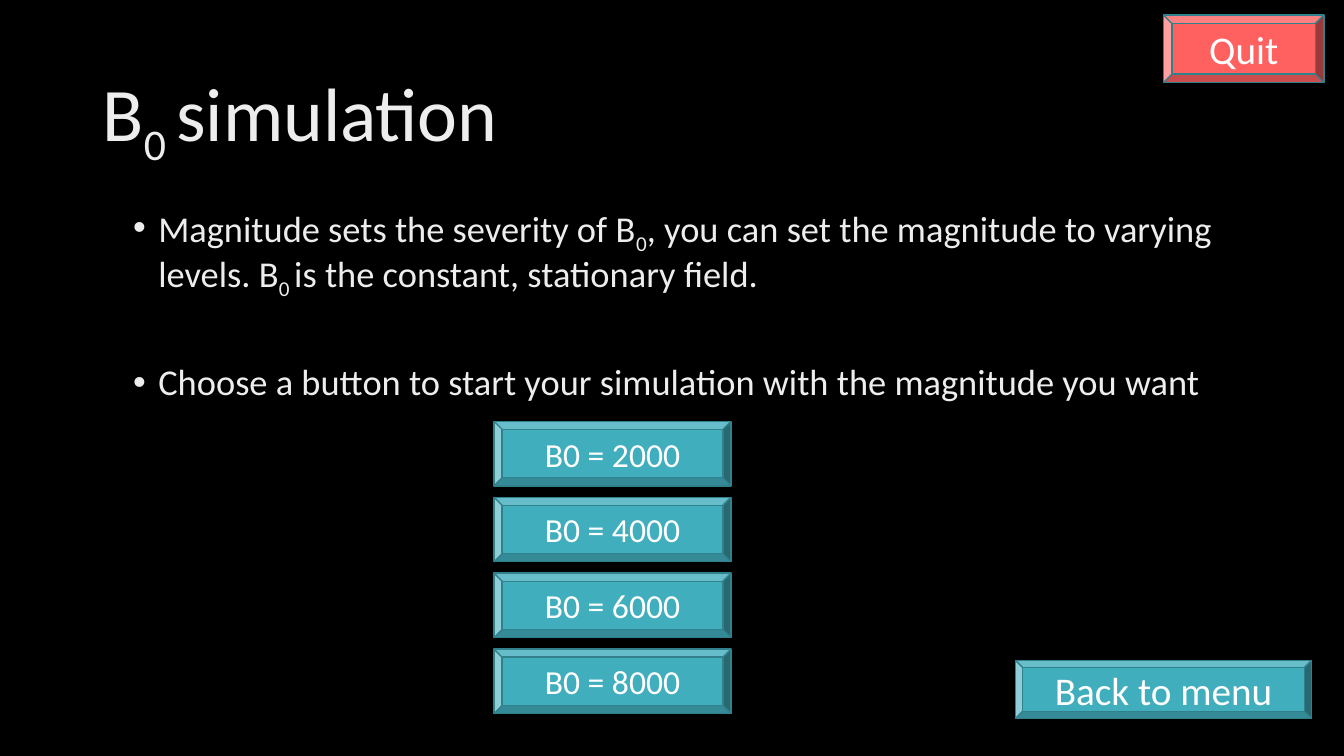
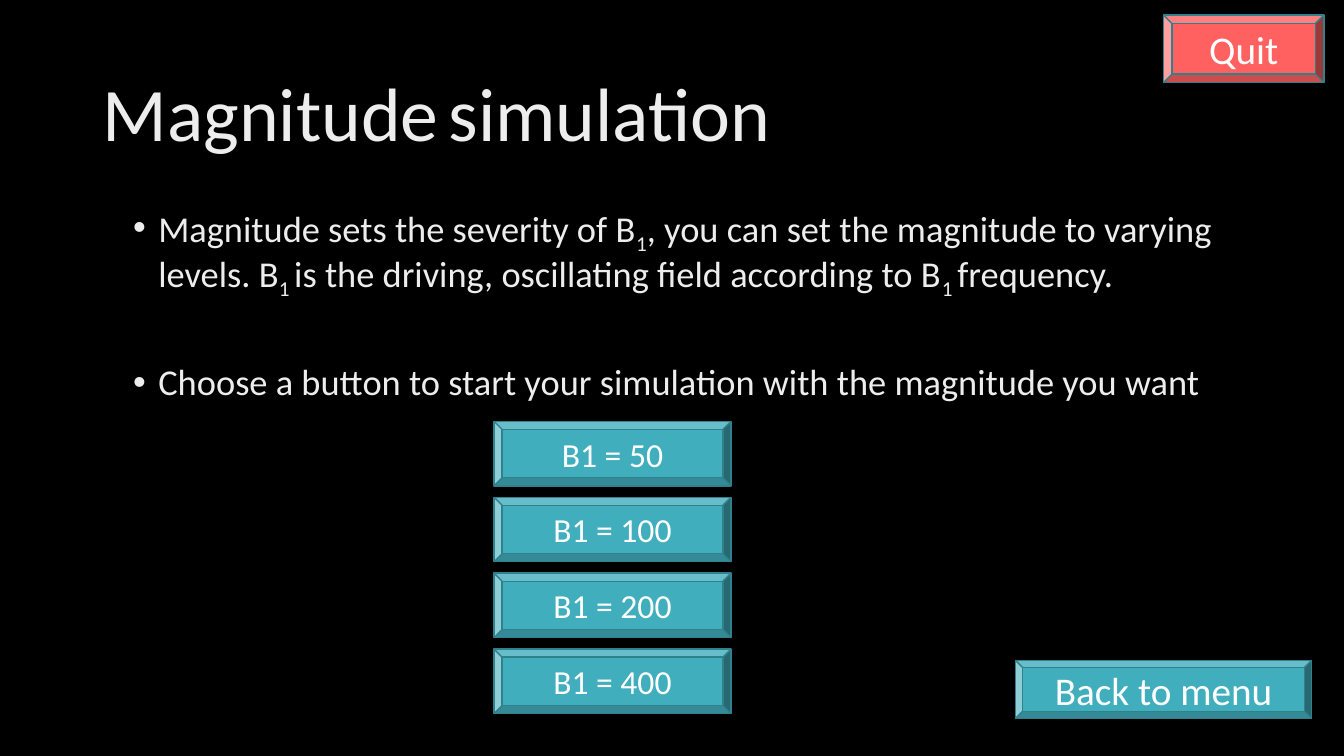
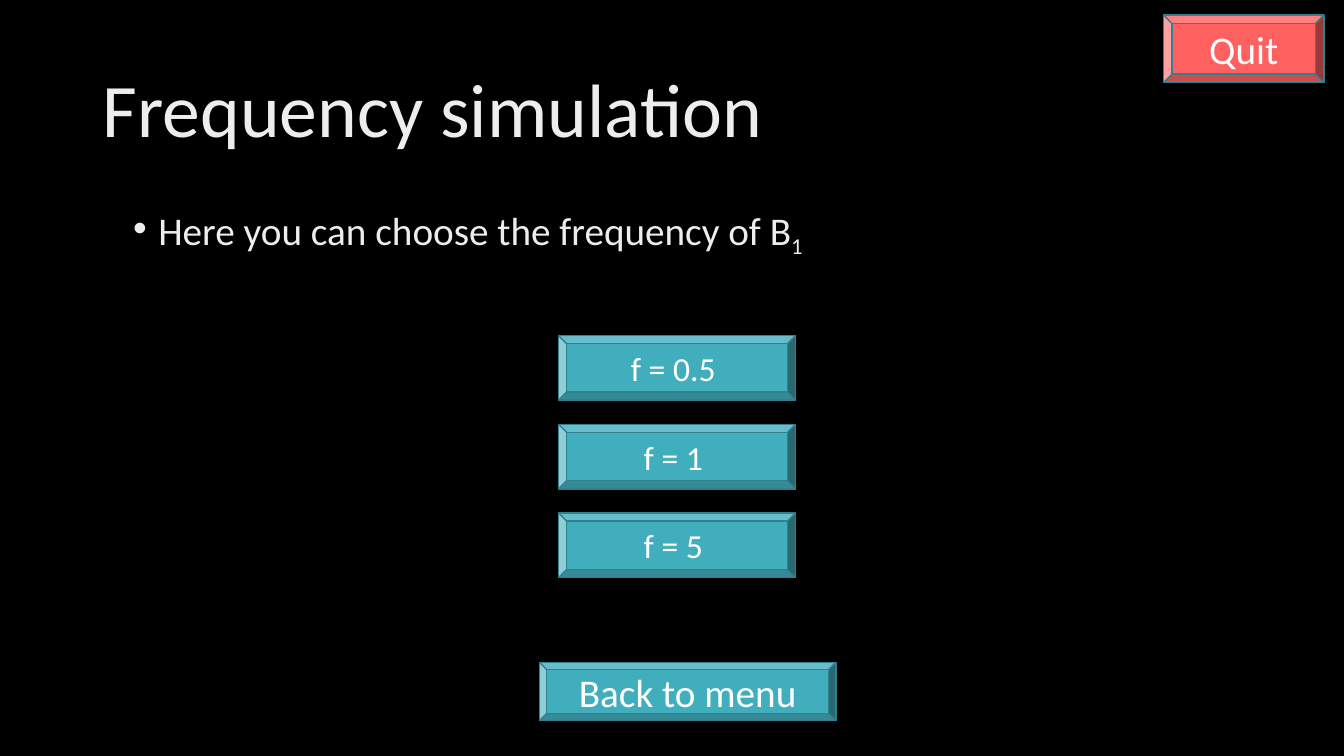
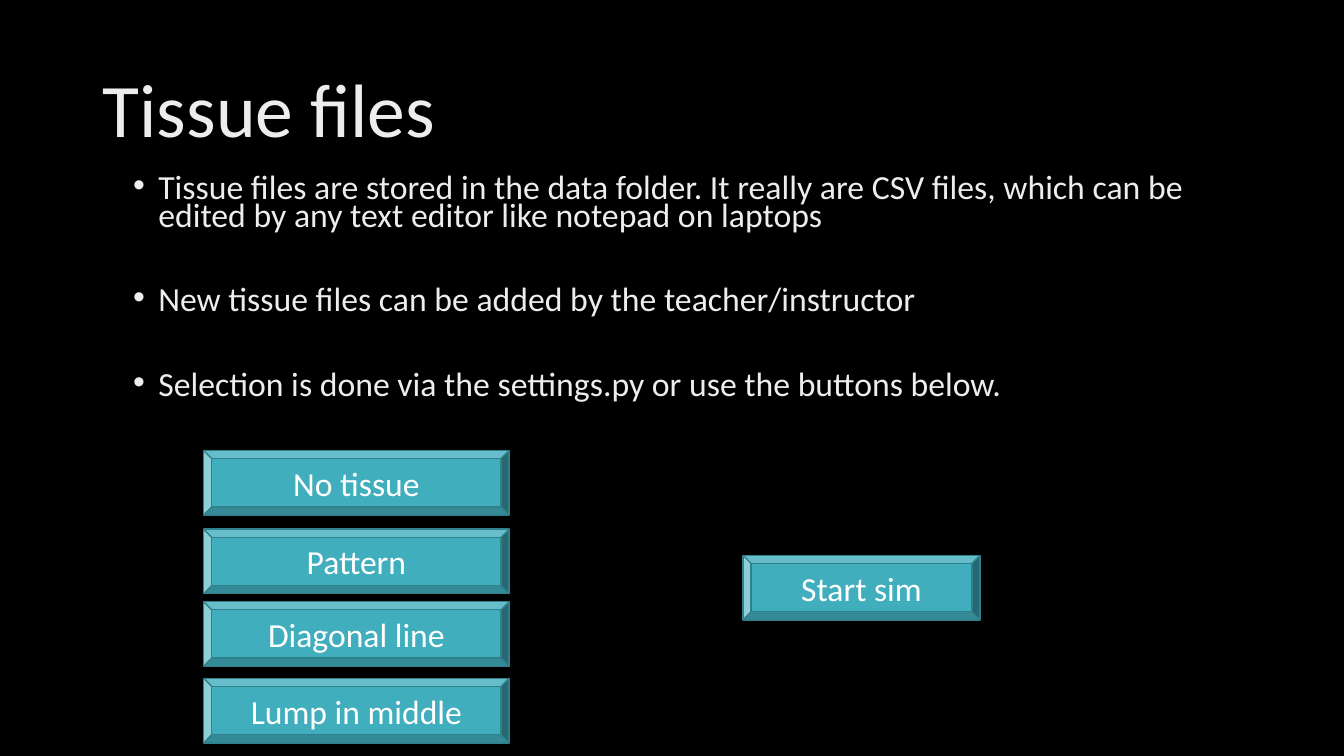
"""Build the four simulation menu slides."""
from lxml.etree import SubElement
from pptx import Presentation
from pptx.dml.color import RGBColor
from pptx.enum.shapes import MSO_SHAPE
from pptx.enum.text import MSO_ANCHOR, MSO_AUTO_SIZE, PP_ALIGN
from pptx.oxml.ns import qn
from pptx.util import Inches, Pt

HUES = {
    "back": "000000",
    "text": "EDEDED",
    "label": "FFFFFF",
    "teal": "41AEBD",
    "edge": "30818C",
    "red": "FF6161",
}


def hue(name):
    return RGBColor.from_string(HUES[name])


class Deck:
    def __init__(self):
        self.prs = Presentation()
        self.prs.slide_width = Inches(13.33)
        self.prs.slide_height = Inches(7.5)
        fill = self.prs.slide_master.background.fill
        fill.solid()
        fill.fore_color.rgb = hue("back")
        self.slide = None

    def place(self, shape, left, top, width, height):
        shape.left, shape.top = Inches(left), Inches(top)
        shape.width, shape.height = Inches(width), Inches(height)

    def style(self, para, size, color):
        para.font.name = "Calibri"
        para.font.size = Pt(size)
        para.font.color.rgb = hue(color)

    def add_text(self, para, text):
        for at, part in enumerate(text.split("_")):
            if part:
                run = para.add_run()
                run.text = part
                if at % 2:
                    run._r.get_or_add_rPr().set("baseline", "-25000")

    def title(self, text):
        self.slide = self.prs.slides.add_slide(self.prs.slide_layouts[1])
        shape = self.slide.shapes.title
        self.place(shape, 0.92, 0.4, 11.5, 1.45)
        frame = shape.text_frame
        frame.auto_size = MSO_AUTO_SIZE.NONE
        frame.vertical_anchor = MSO_ANCHOR.MIDDLE
        para = frame.paragraphs[0]
        para.alignment = PP_ALIGN.LEFT
        para.line_spacing = 0.9
        self.add_text(para, text)
        self.style(para, 54, "text")

    def bullets(self, items, size=26, top=2, line=0.9, gap=48.5):
        shape = self.slide.placeholders[1]
        self.place(shape, 1.22, top, 11.19, 2.45)
        frame = shape.text_frame
        frame.auto_size = MSO_AUTO_SIZE.NONE
        for at, text in enumerate(items):
            para = frame.add_paragraph() if at else frame.paragraphs[0]
            para.line_spacing = line
            para.space_before = Pt(gap if at else 0)
            props = para._p.get_or_add_pPr()
            props.set("marL", str(Inches(0.25)))
            props.set("indent", str(-Inches(0.25)))
            SubElement(props, qn("a:buFont")).set("typeface", "Arial")
            SubElement(props, qn("a:buChar")).set("char", "•")
            self.add_text(para, text)
            self.style(para, size, "text")

    def button(self, text, left, top, width=2.35, height=0.64, size=24, fill="teal"):
        shape = self.slide.shapes.add_shape(
            MSO_SHAPE.BEVEL, Inches(left), Inches(top), Inches(width), Inches(height))
        shape.shadow.inherit = False
        shape.fill.solid()
        shape.fill.fore_color.rgb = hue(fill)
        shape.line.color.rgb = hue("edge")
        shape.line.width = Pt(1)
        frame = shape.text_frame
        frame.vertical_anchor = MSO_ANCHOR.MIDDLE
        para = frame.paragraphs[0]
        para.alignment = PP_ALIGN.CENTER
        self.add_text(para, text)
        self.style(para, size, "label")

    def stack(self, labels, left, first, last):
        step = (last - first) / (len(labels) - 1)
        for at, text in enumerate(labels):
            self.button(text, left, first + at * step)

    def exits(self, left, top):
        self.button("Quit", 11.54, 0.15, 1.59, 0.67, 28, "red")
        self.button("Back to menu", left, top, 2.94, 0.58, 28)


def main():
    deck = Deck()
    fields = [
        ("B_0 _simulation", "B0", (2000, 4000, 6000, 8000),
         "Magnitude sets the severity of B_0_, you can set the magnitude to varying "
         "levels. B_0 _is the constant, stationary field."),
        ("Magnitude_ _simulation", "B1", (50, 100, 200, 400),
         "Magnitude sets the severity of B_1_, you can set the magnitude to varying "
         "levels. B_1 _is the driving, oscillating field according to B_1 _frequency."),
    ]
    for title, name, values, text in fields:
        deck.title(title)
        deck.bullets([text, "Choose a button to start your simulation with the magnitude you want"])
        deck.stack([f"{name} = {value}" for value in values], 4.9, 4.18, 6.44)
        deck.exits(10.07, 6.55)

    deck.title("Frequency simulation")
    deck.bullets(["Here you can choose the frequency of B_1_"], 28)
    deck.stack(["f = 0.5 ", "f = 1 ", "f = 5 "], 5.54, 3.33, 5.09)
    deck.exits(5.35, 6.57)

    deck.title("Tissue files")
    deck.bullets([
        "Tissue files are stored in the data folder. It really are CSV files, which can be "
        "edited by any text editor like notepad on laptops",
        "New tissue files can be added by the teacher/instructor",
        "Selection is done via the settings.py or use the buttons below.",
    ], 24.1, 1.7, 0.7, 40)
    tissues = {"No tissue": 4.47, "Pattern": 5.25, "Diagonal line": 5.97, "Lump in middle": 6.73}
    for text, top in tissues.items():
        deck.button(text, 2.02, top, 3.03)
    deck.button("Start sim", 7.37, 5.51)
    deck.prs.save("out.pptx")


if __name__ == "__main__":
    main()
